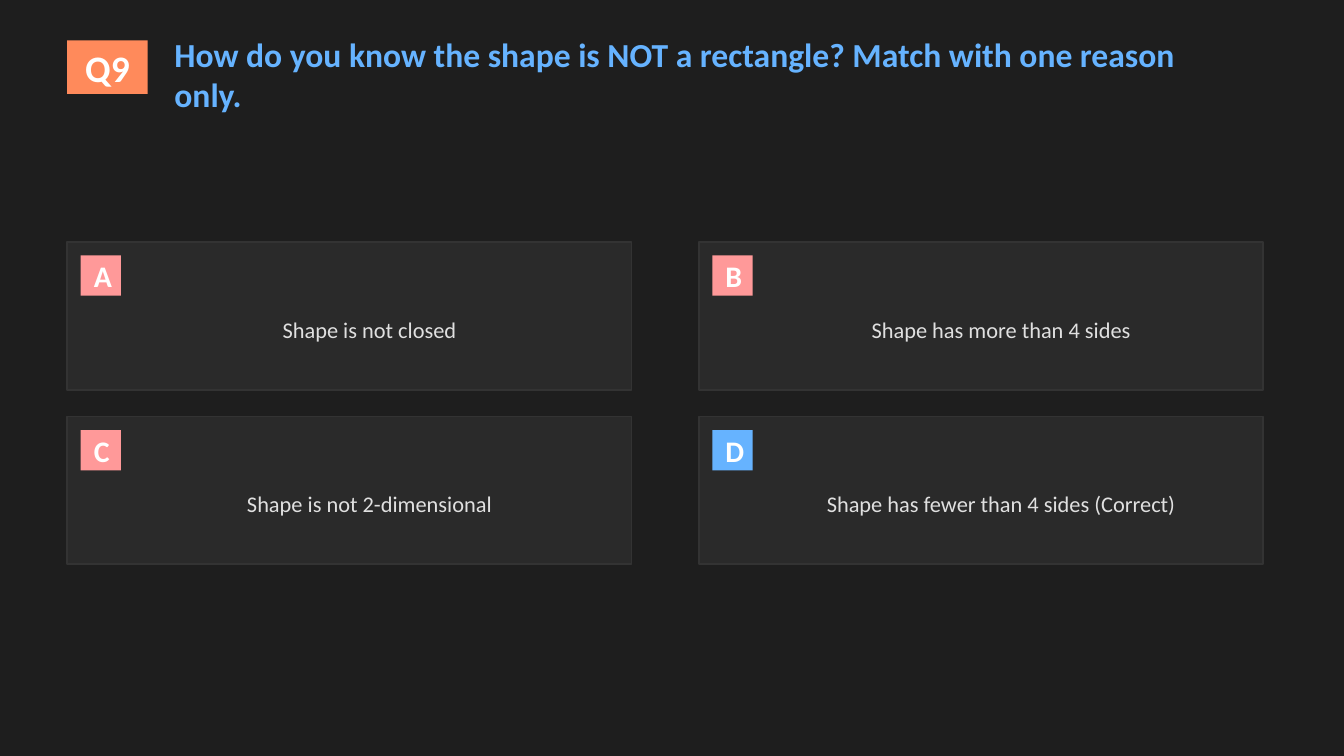
from pptx import Presentation
from pptx.dml.color import RGBColor
from pptx.enum import shapes, text
from pptx.util import Pt

PX = 11430  # EMU per px, 80 px to the inch
FONT = "Calibri"
COLORS = {
    "background": "1E1E1E",
    "card": "2A2A2A",
    "border": "333333",
    "number": "FF8A5B",
    "wrong": "FF9999",
    "correct": "66B3FF",
    "question": "66B3FF",
    "badge_text": "FFFFFF",
    "answer": "E0E0E0",
}
ANSWERS = [
    ("A", "Shape is not closed", "wrong"),
    ("B", "Shape has more than 4 sides", "wrong"),
    ("C", "Shape is not 2-dimensional", "wrong"),
    ("D", "Shape has fewer than 4 sides (Correct)", "correct"),
]


def color(name):
    return RGBColor.from_string(COLORS[name])


def px(*lengths):
    return [n * PX for n in lengths]


def write(sp, words, size, ink, bold=False, align=text.PP_ALIGN.CENTER):
    tf = sp.text_frame
    tf.word_wrap = True
    tf.vertical_anchor = text.MSO_ANCHOR.MIDDLE
    p = tf.paragraphs[0]
    p.alignment = align
    r = p.add_run()
    r.text = words
    r.font.name = FONT
    r.font.size = Pt(size)
    r.font.bold = bold
    r.font.color.rgb = color(ink)


def add_rect(s, box, fill, border=None):
    sp = s.shapes.add_shape(shapes.MSO_SHAPE.RECTANGLE, *px(*box))
    sp.shadow.inherit = False
    sp.fill.solid()
    sp.fill.fore_color.rgb = color(fill)
    if border:
        sp.line.color.rgb = color(border)
        sp.line.width = Pt(1)
    else:
        sp.line.fill.background()
    return sp


def add_badge(s, box, label, size, fill):
    write(add_rect(s, box, fill), label, size, "badge_text", bold=True)


def add_label(s, box, words, size, ink, **style):
    write(s.shapes.add_textbox(*px(*box)), words, size, ink, **style)


def add_answer(s, x, y, letter, words, kind):
    add_rect(s, (x, y, 336, 88), "card", "border")
    add_badge(s, (x + 8, y + 8, 24, 24), letter, 16, kind)
    add_label(s, (x + 40, y + 32, 280, 40), words, 12, "answer")


def main():
    prs = Presentation()
    prs.slide_width, prs.slide_height = px(800, 450)
    s = prs.slides.add_slide(prs.slide_layouts[6])
    s.background.fill.solid()
    s.background.fill.fore_color.rgb = color("background")

    # Question header
    add_badge(s, (40, 24, 48, 32), "Q9", 20, "number")
    add_label(s, (96, 28, 640, 32),
              "How do you know the shape is NOT a rectangle? "
              "Match with one reason only.",
              18, "question", bold=True, align=text.PP_ALIGN.LEFT)

    # Answer cards, two by two
    for i, answer in enumerate(ANSWERS):
        row, col = divmod(i, 2)
        add_answer(s, 40 + col * 376, 144 + row * 104, *answer)

    prs.save("out.pptx")


if __name__ == "__main__":
    main()
